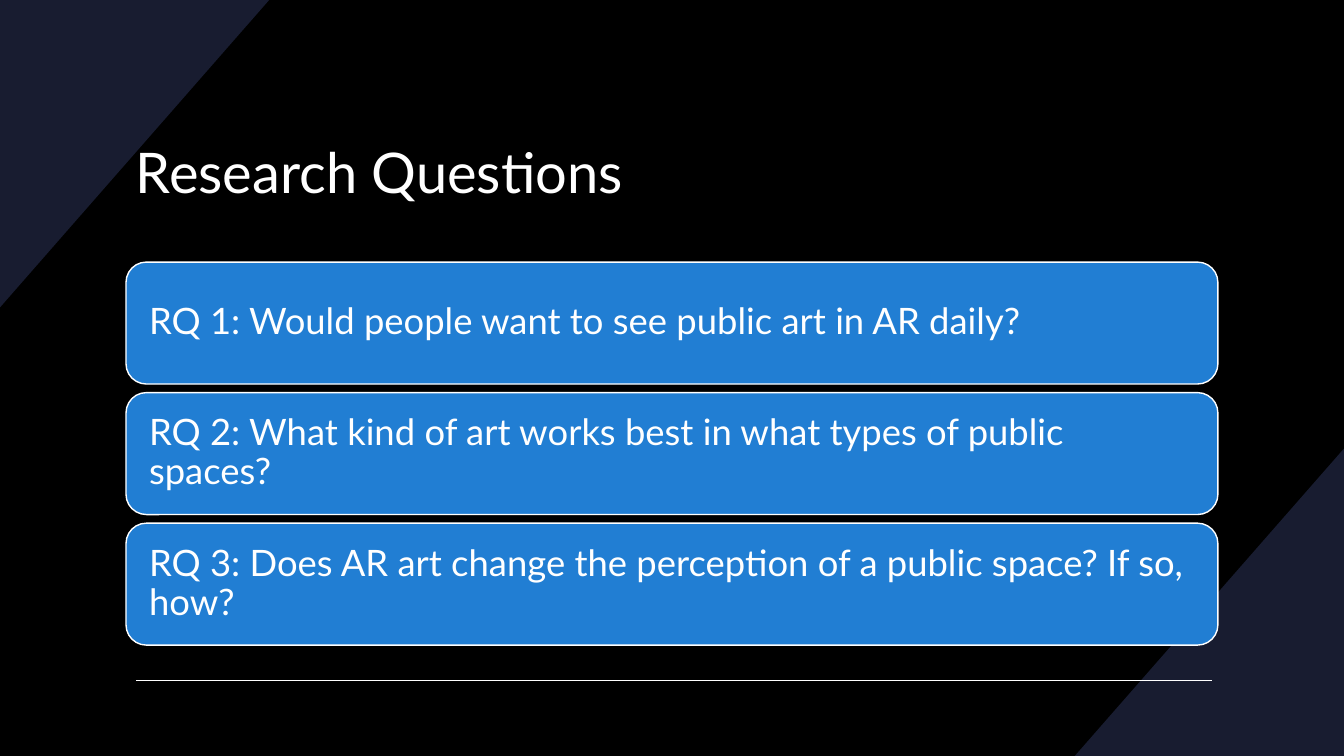
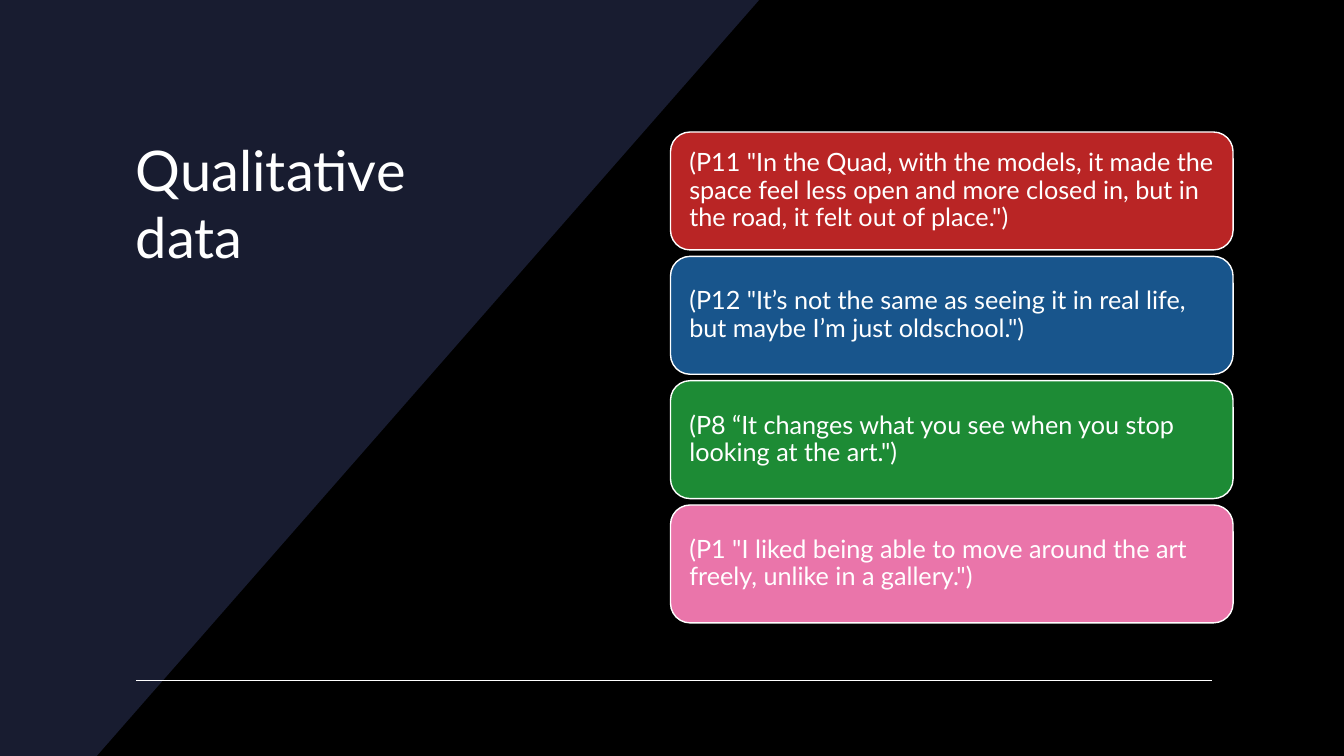
from lxml import etree
from pptx import Presentation
from pptx.dml.color import RGBColor
from pptx.enum.shapes import MSO_CONNECTOR, MSO_SHAPE
from pptx.enum.text import MSO_ANCHOR as Anchor, PP_ALIGN as Align
from pptx.oxml.ns import qn
from pptx.util import Inches, Pt

BLACK = RGBColor(0x00, 0x00, 0x00)
WHITE = RGBColor(0xFF, 0xFF, 0xFF)
NAVY = RGBColor(0x18, 0x1C, 0x30)
BLUE = RGBColor(0x21, 0x7E, 0xD3)
RED = RGBColor(0xB9, 0x25, 0x25)
DEEP_BLUE = RGBColor(0x18, 0x55, 0x8C)
GREEN = RGBColor(0x1D, 0x8B, 0x35)
PINK = RGBColor(0xEA, 0x75, 0xAA)

FONT = "Lato"
WIDTH, HEIGHT = 13.33, 7.5
LEFT = 1.25

CORNER_W, CORNER_H = 2.67, 3.05
TOP_CORNER = [(0, 0), (CORNER_W, 0), (0, CORNER_H)]
BOTTOM_CORNER = [(WIDTH - x, HEIGHT - y) for x, y in TOP_CORNER]
WIDE_BAND = [(0, 0), (7.53, 0), (0.96, HEIGHT), (0, HEIGHT)]

QUESTIONS = [
    ("RQ 1: Would people want to see public art in AR daily?", BLUE),
    ("RQ 2: What kind of art works best in what types of public spaces?", BLUE),
    ("RQ 3: Does AR art change the perception of a public space? If so, how?", BLUE),
]
QUOTES = [
    ('(P11 "In the Quad, with the models, it made the space feel less open '
     'and more closed in, but in the road, it felt out of place.")', RED),
    ('(P12 "It’s not the same as seeing it in real life, '
     'but maybe I’m just oldschool.")', DEEP_BLUE),
    ('(P8 “It changes what you see when you stop looking at the art.")', GREEN),
    ('(P1 "I liked being able to move around the art freely, '
     'unlike in a gallery.")', PINK),
]


def write(shape, text, size, anchor=Anchor.MIDDLE, spacing=1.0, inset=None):
    """Put one left-aligned white paragraph into a shape."""
    frame = shape.text_frame
    frame.word_wrap = True
    frame.vertical_anchor = anchor
    if inset is not None:
        frame.margin_left = frame.margin_right = Inches(inset)
        frame.margin_top = frame.margin_bottom = Inches(inset)
    paragraph = frame.paragraphs[0]
    paragraph.alignment = Align.LEFT
    paragraph.line_spacing = spacing
    run = paragraph.add_run()
    run.text = text
    run.font.name = FONT
    run.font.size = Pt(size)
    run.font.color.rgb = WHITE


class Deck:
    def __init__(self):
        self.prs = Presentation()
        self.prs.slide_width = Inches(WIDTH)
        self.prs.slide_height = Inches(HEIGHT)
        self.slide = None

    def new_slide(self, *bands):
        """Start a black slide with navy bands and the footer rule."""
        self.slide = self.prs.slides.add_slide(self.prs.slide_layouts[6])
        background = self.slide.background.fill
        background.solid()
        background.fore_color.rgb = BLACK
        for outline in bands:
            self.band(outline)
        self.footer_rule()

    def band(self, outline):
        start, *rest = [(Inches(x), Inches(y)) for x, y in outline]
        builder = self.slide.shapes.build_freeform(*start)
        builder.add_line_segments(rest, close=True)
        band = builder.convert_to_shape()
        band.shadow.inherit = False
        band.fill.solid()
        band.fill.fore_color.rgb = NAVY
        band.line.fill.background()

    def footer_rule(self):
        rule = self.slide.shapes.add_connector(
            MSO_CONNECTOR.STRAIGHT,
            Inches(1.35), Inches(6.75), Inches(12.02), Inches(6.75))
        rule.line.color.rgb = WHITE
        rule.line.width = Pt(1)
        etree.SubElement(rule._element.spPr, qn("a:effectLst"))

    def title(self, text, top, width, height, anchor):
        title = self.slide.shapes.add_textbox(
            Inches(LEFT), Inches(top), Inches(width), Inches(height))
        write(title, text, 40, anchor=anchor)

    def card(self, text, color, left, top, width, height, size, inset):
        card = self.slide.shapes.add_shape(
            MSO_SHAPE.ROUNDED_RECTANGLE,
            Inches(left), Inches(top), Inches(width), Inches(height))
        card.shadow.inherit = False
        card.fill.solid()
        card.fill.fore_color.rgb = color
        card.line.color.rgb = WHITE
        card.line.width = Pt(1)
        write(card, text, size, spacing=0.9, inset=inset)

    def card_stack(self, cards, left, top, width, bottom, height, size, inset):
        """Spread cards of equal height evenly from top to bottom."""
        pitch = (bottom - top - height) / (len(cards) - 1)
        for row, (text, color) in enumerate(cards):
            self.card(text, color, left, top + row * pitch, width, height,
                      size, inset)


def main():
    deck = Deck()

    deck.new_slide(TOP_CORNER, BOTTOM_CORNER)
    deck.title("Research Questions", 0.95, 10.83, 1.49, Anchor.MIDDLE)
    deck.card_stack(QUESTIONS, LEFT, 2.6, 10.83, bottom=6.4, height=1.21,
                    size=26, inset=0.17)

    deck.new_slide(WIDE_BAND)
    deck.title("Qualitative data", 1.29, 3.86, 1.71, Anchor.TOP)
    deck.card_stack(QUOTES, 6.65, 1.31, 5.58, bottom=6.18, height=1.17,
                    size=18, inset=0.13)

    deck.prs.save("out.pptx")


if __name__ == "__main__":
    main()
